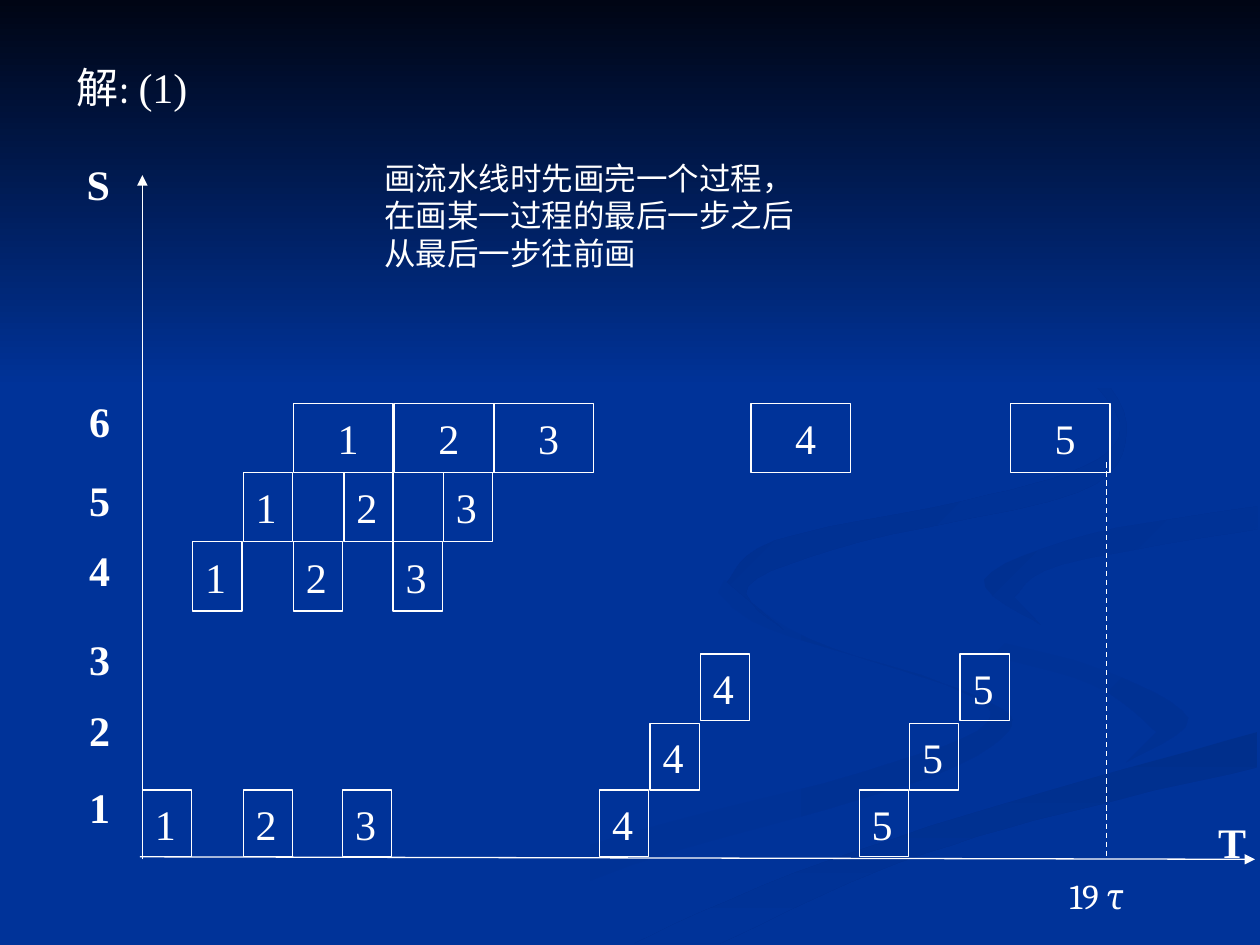
"""Pipeline space-time diagram: five tasks over six stages, 19 τ in total."""
from lxml.etree import SubElement
from pptx import Presentation
from pptx.dml.color import RGBColor
from pptx.enum.dml import MSO_LINE
from pptx.enum.shapes import MSO_CONNECTOR, MSO_SHAPE
from pptx.enum.text import MSO_ANCHOR, PP_ALIGN
from pptx.oxml.ns import qn
from pptx.util import Inches, Pt

COLORS = {
    "white": "FFFFFF",
    "blue": "003399",
    "night": "000514",
    "deep": "002F8C",
    "shade": "002F8E",
    "dim": "003091",
    "faint": "003193",
}
SERIF, SONG = "Times New Roman", "Cambria"
COLORS = {name: RGBColor.from_string(value) for name, value in COLORS.items()}

prs = Presentation()
prs.slide_width, prs.slide_height = Inches(10), Inches(7.5)
slide = prs.slides.add_slide(prs.slide_layouts[6])
slide.background.fill.solid()
slide.background.fill.fore_color.rgb = COLORS["blue"]


def write(frame, text, size=24, font=SERIF, bold=False):
    frame.word_wrap = True
    paragraph = frame.paragraphs[0]
    paragraph.text = text
    paragraph.alignment = PP_ALIGN.LEFT
    paragraph.font.size = Pt(size)
    paragraph.font.name = font
    paragraph.font.bold = bold
    paragraph.font.color.rgb = COLORS["white"]
    return paragraph


def smooth_edge(knots, pieces=6):
    padded = [knots[0], *knots, knots[-1]]
    edge = [knots[0]]
    for before, start, end, after in zip(padded, padded[1:], padded[2:], padded[3:]):
        for piece in range(1, pieces + 1):
            t = piece / pieces
            edge.append(tuple(
                b + t * (c - a + t * (2 * a - 5 * b + 4 * c - d + t * (3 * b - a - 3 * c + d))) / 2
                for a, b, c, d in zip(before, start, end, after)))
    return edge


ribbons = [
    ("blue", "faint", 0,
     [(5.75, 4.6), (6.42, 5.07), (7.76, 5.53), (8, 5.81), (7.2, 6.23), (5, 6.87), (3.61, 7.49)],
     [(3, 7.49), (4.58, 6.74), (6.84, 6.13), (7.83, 5.74), (7.5, 5.43), (6.1, 4.99), (5.7, 4.7)]),
    ("blue", "faint", 315,
     [(7.24, 4.64), (7.58, 4.98), (8.7, 5.3), (9.43, 5.7), (8.94, 6.05)],
     [(9.18, 5.81), (8.68, 5.44), (7.66, 5.12), (7.24, 4.7)]),
    ("deep", "blue", 270,
     [(9.98, 6.09), (8.21, 6.51), (6.95, 6.92), (5.71, 7.49)],
     [(5.03, 7.49), (6.3, 6.93), (7.97, 6.38), (9.98, 5.81)]),
    ("dim", "blue", 315,
     [(9.98, 4.02), (8.65, 4.24), (7.81, 4.6), (8.26, 4.96)],
     [(8.05, 4.74), (8.43, 4.48), (9.98, 4.2)]),
    ("shade", "blue", 315,
     [(7.62, 2.33), (8.64, 2.91), (8.94, 3.44), (8.55, 3.91), (6.83, 4.3), (5.94, 4.65),
      (6.22, 5)],
     [(5.77, 4.62), (6.15, 4.29), (7.63, 3.98), (8.61, 3.7), (8.89, 3.35), (8.46, 2.79)]),
]
backdrop = []
for first, last, angle, outer, inner in ribbons:
    outline = [(x * 100, y * 100) for x, y in smooth_edge(outer) + smooth_edge(inner)]
    builder = slide.shapes.build_freeform(*outline[0], scale=Inches(0.01))
    builder.add_line_segments(outline[1:], close=True)
    backdrop.append((builder.convert_to_shape(), first, last, angle))
sky = slide.shapes.add_shape(MSO_SHAPE.RECTANGLE, 0, 0, prs.slide_width, Inches(3.08))
backdrop.append((sky, "night", "blue", 270))
for part, first, last, angle in backdrop:
    part.shadow.inherit = False
    part.line.fill.background()
    part.fill.gradient()
    part.fill.gradient_angle = angle
    for stop, color in zip(part.fill.gradient_stops, (first, last)):
        stop.color.rgb = COLORS[color]

advice = "画流水线时先画完一个过程，在画某一过程的最后一步之后从最后一步往前画"
labels = [
    (0.51, 0.44, 2.2, 0.5, "解: ", 24, SONG, False),
    (2.95, 1.21, 3.46, 0.97, advice, 18, SONG, False),
    (8.39, 6.89, 1.02, 0.43, "19 τ", 20, SONG, False),
    (9.57, 6.43, 0.43, 0.5, "T", 24, SERIF, True),
    (0.59, 1.21, 0.43, 0.5, "S", 24, SERIF, True),
]
for stage, top in enumerate((6.15, 5.54, 4.98, 4.27, 3.72, 3.09), start=1):
    labels.append((0.61, top, 0.6, 0.5, str(stage), 24, SERIF, True))
for left, top, width, height, text, size, font, bold in labels:
    label = slide.shapes.add_textbox(Inches(left), Inches(top), Inches(width), Inches(height))
    line = write(label.text_frame, text, size, font, bold)
    if text == "解: ":
        number = line.add_run()
        number.text = "(1)"
        number.font.name = SERIF

time_axis, stage_axis = (1.11, 6.8, 9.96, 6.82), (1.13, 6.82, 1.13, 1.39)
finish = (8.78, 3.67, 8.78, 6.82)
for ends in (time_axis, stage_axis, finish):
    rule = slide.shapes.add_connector(MSO_CONNECTOR.STRAIGHT, *map(Inches, ends))
    rule.line.color.rgb = COLORS["white"]
    rule.line.width = Pt(0.75)
    properties = rule.element.spPr
    if ends == finish:
        rule.line.dash_style = MSO_LINE.DASH
    else:
        SubElement(properties.find(qn("a:ln")), qn("a:tailEnd"), type="triangle")
    SubElement(properties, qn("a:effectLst"))

step = 0.4
stage_tops = {1: 6.27, 2: 5.74, 3: 5.19, 4: 4.3, 5: 3.75, 6: 3.2}
short_route, long_route = (1, 4, 5, 6), (1, 2, 3, 6)
tasks = [(1.13, short_route), (1.93, short_route), (2.72, short_route),
         (4.76, long_route), (6.82, long_route)]
for task, (start, route) in enumerate(tasks, start=1):
    for position, stage in enumerate(route):
        is_last = stage == 6
        cell = slide.shapes.add_shape(
            MSO_SHAPE.RECTANGLE, Inches(start + position * step), Inches(stage_tops[stage]),
            Inches(0.79 if is_last else 0.39), Inches(0.55 if stage > 3 else 0.53))
        cell.shadow.inherit = False
        cell.fill.background()
        cell.line.color.rgb = COLORS["white"]
        cell.line.width = Pt(0.75)
        cell.text_frame.vertical_anchor = MSO_ANCHOR.MIDDLE
        cell.text_frame.margin_left = Inches(0.35 if is_last else 0.1)
        write(cell.text_frame, str(task))

prs.save("out.pptx")
